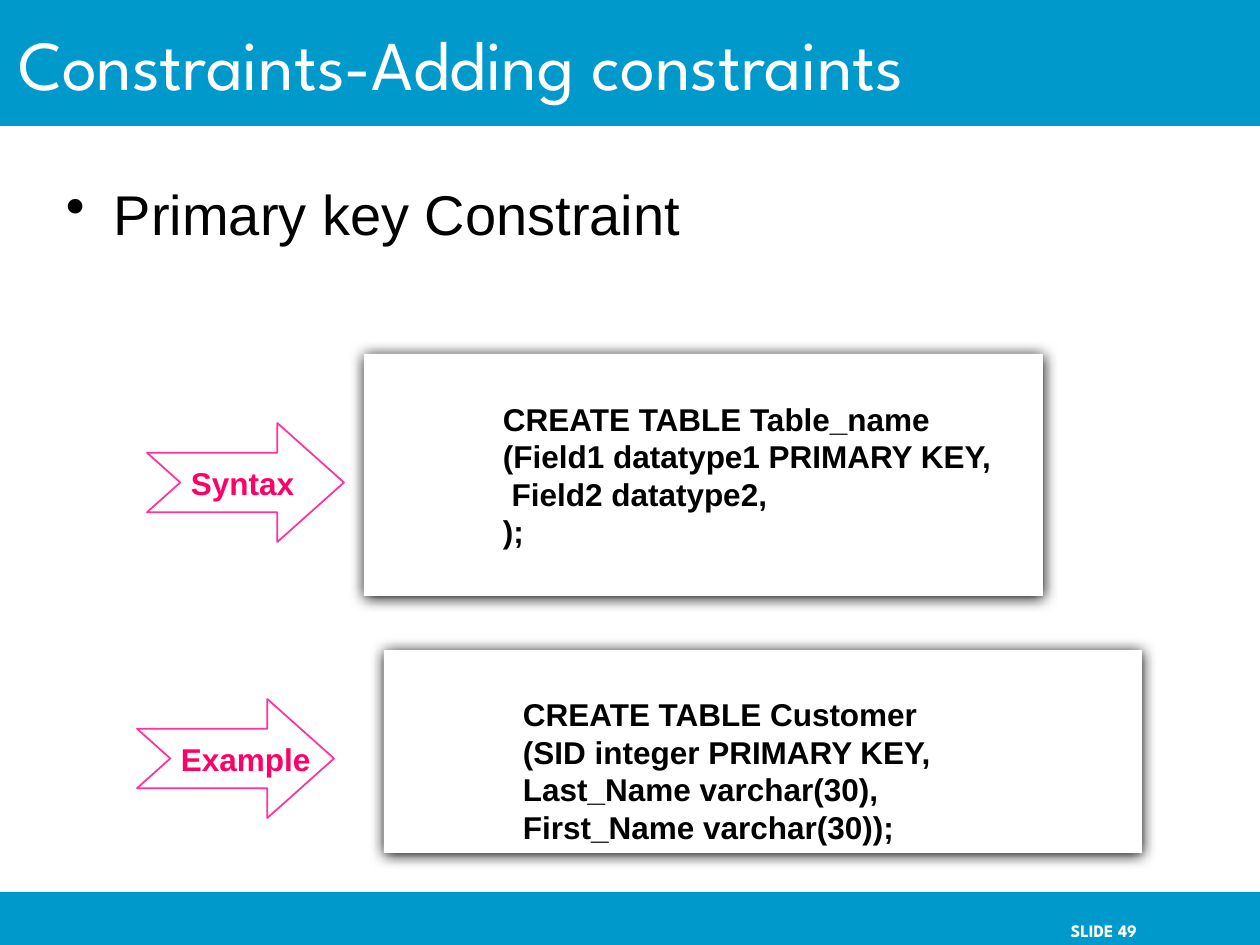
import pptx
import pptx.dml.color
import pptx.enum.shapes
import pptx.enum.text
import pptx.oxml
import pptx.oxml.ns
import pptx.util

PX = 914400 / 126
BLUE = pptx.dml.color.RGBColor(0x00, 0x99, 0xCC)
WHITE = pptx.dml.color.RGBColor(0xFF, 0xFF, 0xFF)
BLACK = pptx.dml.color.RGBColor(0x00, 0x00, 0x00)
ARROW_PINK = pptx.dml.color.RGBColor(0xFF, 0x33, 0x99)
LABEL_PINK = pptx.dml.color.RGBColor(0xFF, 0x00, 0x66)

TITLE_FONT = {"name": "League Spartan", "size": pptx.util.Pt(40), "bold": False}
FOOTER_FONT = {"name": "League Spartan", "size": pptx.util.Pt(10), "bold": True}
BULLET_FONT = {"name": "Arial", "size": pptx.util.Pt(32), "bold": False}
STRONG_FONT = {"name": "Arial", "size": pptx.util.Pt(18), "bold": True}

SHAPES = pptx.enum.shapes.MSO_SHAPE
ANCHOR = pptx.enum.text.MSO_ANCHOR
ALIGN = pptx.enum.text.PP_ALIGN

SYNTAX_CODE = [
    "CREATE TABLE Table_name",
    "(Field1 datatype1 PRIMARY KEY,",
    " Field2 datatype2,",
    ");",
]
EXAMPLE_CODE = [
    "CREATE TABLE Customer",
    "(SID integer PRIMARY KEY,",
    "Last_Name varchar(30),",
    "First_Name varchar(30));",
]


def px(length):
    return pptx.util.Emu(round(length * PX))


def box(left, top, width, height):
    return [px(length) for length in (left, top, width, height)]


def format_frame(frame, insets, anchor=ANCHOR.TOP):
    """Set wrapping, anchor and the left, top, right and bottom insets."""
    frame.word_wrap = True
    frame.vertical_anchor = anchor
    for side, inset in zip(("left", "top", "right", "bottom"), insets):
        setattr(frame, f"margin_{side}", px(inset))


def write_lines(frame, lines, font, color, align=ALIGN.LEFT, spacing=None):
    frame.text = "\n".join(lines)
    for paragraph in frame.paragraphs:
        paragraph.alignment = align
        paragraph.line_spacing = spacing
        for attribute, value in font.items():
            setattr(paragraph.font, attribute, value)
        paragraph.font.color.rgb = color


def add_filled(shapes, preset, bounds, fill):
    shape = shapes.add_shape(preset, *box(*bounds))
    shape.shadow.inherit = False
    shape.fill.solid()
    shape.fill.fore_color.rgb = fill
    shape.line.fill.background()
    return shape


def add_text(shapes, bounds, text, font, color, insets, **style):
    frame = shapes.add_textbox(*box(*bounds)).text_frame
    format_frame(frame, insets)
    write_lines(frame, [text], font, color, **style)
    return frame.paragraphs[0]


def add_title(slide, text):
    title = slide.shapes.title
    title.left, title.top, title.width, title.height = box(5, 0, 1071, 126)
    format_frame(title.text_frame, (13, 6, 13, 6), ANCHOR.MIDDLE)
    write_lines(title.text_frame, [text], TITLE_FONT, WHITE)
    for bounds in ((0, 0, 1260, 126), (0, 892, 1260, 53)):
        band = add_filled(slide.shapes, SHAPES.RECTANGLE, bounds, BLUE)
        title.element.addprevious(band.element)


def add_bullet(slide, text):
    paragraph = add_text(slide.shapes, (53, 168, 1134, 683), text,
                         BULLET_FONT, BLACK, (13, 12, 13, 0))
    properties = paragraph._p.get_or_add_pPr()
    properties.set("marL", str(px(48)))
    properties.set("indent", str(px(-48)))
    namespace = pptx.oxml.ns.nsdecls("a")
    mark = pptx.oxml.parse_xml(f'<a:buChar {namespace} char="•"/>')
    properties.insert_element_before(mark, "a:tabLst", "a:defRPr", "a:extLst")


def add_labelled_arrow(slide, left, top, label):
    group = slide.shapes.add_group_shape()
    arrow = add_filled(group.shapes, SHAPES.NOTCHED_RIGHT_ARROW,
                       (left, top, 197, 119), WHITE)
    arrow.adjustments[0] = 0.5
    arrow.adjustments[1] = 0.56
    arrow.line.color.rgb = ARROW_PINK
    arrow.line.width = pptx.util.Pt(1)
    add_text(group.shapes, (left + 23, top + 33, 185, 86), label,
             STRONG_FONT, LABEL_PINK, (21, 8, 13, 6))


def add_code_card(slide, bounds, lines, top_inset):
    card = add_filled(slide.shapes, SHAPES.RECTANGLE, bounds, WHITE)
    effects = card._element.spPr.find(pptx.oxml.ns.qn("a:effectLst"))
    effects.append(pptx.oxml.parse_xml(
        f'<a:outerShdw {pptx.oxml.ns.nsdecls("a")} blurRad="{pptx.util.Pt(8.5)}" '
        f'dist="{pptx.util.Pt(1)}" dir="5400000" algn="ctr" rotWithShape="0">'
        f'<a:srgbClr val="{BLACK}"/></a:outerShdw>'))
    format_frame(card.text_frame, (139, top_inset, 13, 6), ANCHOR.MIDDLE)
    write_lines(card.text_frame, lines, STRONG_FONT, BLACK,
                spacing=pptx.util.Pt(21.5))


def main():
    deck = pptx.Presentation()
    deck.slide_width, deck.slide_height = px(1260), px(945)
    slide = deck.slides.add_slide(deck.slide_layouts[5])
    add_title(slide, "Constraints-Adding constraints")
    add_text(slide.shapes, (935, 920, 202, 22), "SLIDE 49",
             FOOTER_FONT, WHITE, (0, 0, 0, 0), align=ALIGN.RIGHT)
    add_bullet(slide, "Primary key Constraint")
    add_labelled_arrow(slide, 137, 699, "Example")
    add_code_card(slide, (384, 650, 758, 203), EXAMPLE_CODE, 44)
    add_labelled_arrow(slide, 147, 423, "Syntax")
    add_code_card(slide, (364, 354, 679, 242), SYNTAX_CODE, 6)
    deck.save("out.pptx")


if __name__ == "__main__":
    main()
